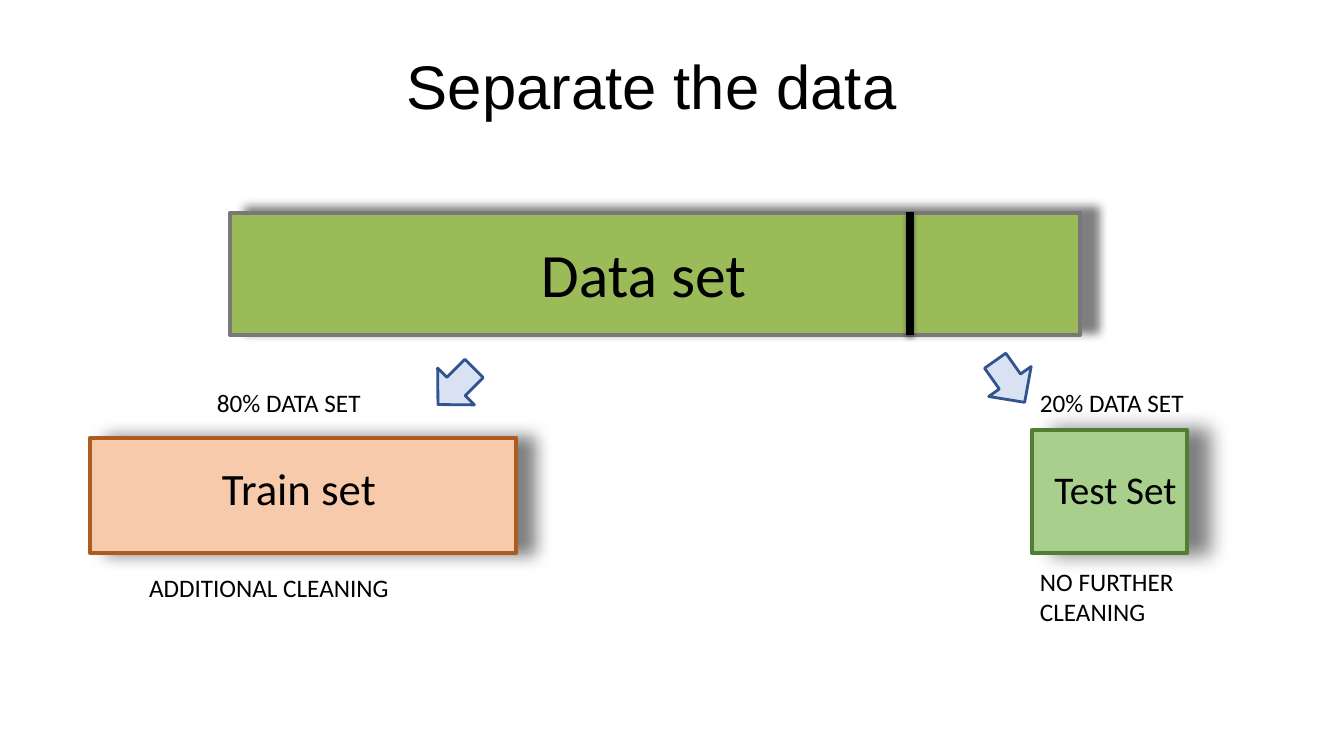
import pptx
import pptx.dml.color
import pptx.enum.shapes
import pptx.enum.text
import pptx.oxml
import pptx.oxml.ns
import pptx.util

EMU_PER_PX = 914400 / 100.8
SLIDE_SIZE = (1344, 756)
BLACK = "000000"
RECTANGLE = pptx.enum.shapes.MSO_SHAPE.RECTANGLE
DOWN_ARROW = pptx.enum.shapes.MSO_SHAPE.DOWN_ARROW
MIDDLE = pptx.enum.text.MSO_ANCHOR.MIDDLE
CENTER = pptx.enum.text.PP_ALIGN.CENTER

# Content: boxes are (left, top, width, height) in px
# Shadows are (opacity %, blur pt, distance pt, direction in degrees)
data_bar = ((230, 213, 850, 122), "9BBB59", "787878", (50, 6.8, 12, 342))
train_bar = ((90, 438, 426, 115), "F7CAAC", "AC5B23", (50, 12.4, 12, 359))
test_bar = ((1032, 430, 155, 123), "A8D08C", "517E33", (50, 14.6, 15, 359))
split_line = ((910, 212), (910, 335), (35, 3.1, 1.8, 90))
arrows = [((430, 361), 45), ((984, 356), 324.7)]
ARROW_SIZE = (52, 51)

labels = [
    ("Separate the data", (397, 34, 514, 112),
     dict(size=44, font="Arial", anchor=MIDDLE, spacing=0.9)),
    ("Data set", (531, 231, 379, 84), dict(size=44, inset_y=5)),
    ("Train set", (212, 451, 253, 69), dict(size=32)),
    ("Test Set", (996, 455, 239, 84), dict(size=28, align=CENTER)),
    ("80% DATA SET", (207, 377, 172, 54), {}),
    ("20% DATA SET", (1030, 377, 172, 60), {}),
    ("NO FURTHER CLEANING", (1030, 556, 258, 49), {}),
    ("ADDITIONAL CLEANING", (139, 562, 355, 54), {}),
]


def px(*lengths):
    return [pptx.util.Emu(round(length * EMU_PER_PX)) for length in lengths]


def color(hex_string):
    return pptx.dml.color.RGBColor.from_string(hex_string)


def add_shadow(part, opacity, blur, distance, direction):
    effects = pptx.oxml.parse_xml(
        f'<a:effectLst {pptx.oxml.ns.nsdecls("a")}>'
        f'<a:outerShdw blurRad="{pptx.util.Pt(blur)}" dist="{pptx.util.Pt(distance)}" '
        f'dir="{direction * 60000}" algn="ctr" rotWithShape="0">'
        f'<a:srgbClr val="{BLACK}"><a:alpha val="{opacity * 1000}"/></a:srgbClr>'
        '</a:outerShdw></a:effectLst>')
    part._element.spPr.append(effects)


def add_figure(preset, box, fill, outline, weight):
    figure = slide.shapes.add_shape(preset, *px(*box))
    figure.fill.solid()
    figure.fill.fore_color.rgb = color(fill)
    figure.line.color.rgb = color(outline)
    figure.line.width = pptx.util.Pt(weight)
    return figure


def add_text(text, box, size=18, font="Calibri", align=None, anchor=None,
             spacing=None, inset_y=10):
    frame = slide.shapes.add_textbox(*px(*box)).text_frame
    frame.word_wrap = True
    frame.margin_left, frame.margin_right = px(10, 10)
    frame.margin_top, frame.margin_bottom = px(inset_y, inset_y)
    frame.vertical_anchor = anchor or pptx.enum.text.MSO_ANCHOR.TOP
    paragraph = frame.paragraphs[0]
    paragraph.alignment = align
    paragraph.line_spacing = spacing
    run = paragraph.add_run()
    run.text = text
    run.font.size = pptx.util.Pt(size)
    run.font.name = font
    run.font.color.rgb = color(BLACK)


deck = pptx.Presentation()
deck.slide_width, deck.slide_height = px(*SLIDE_SIZE)
slide = deck.slides.add_slide(deck.slide_layouts[6])

# Data set bar and its two parts
for box, fill, outline, shadow in (data_bar, train_bar, test_bar):
    add_shadow(add_figure(RECTANGLE, box, fill, outline, 3), *shadow)

# Line where the data set is split
start, end, split_shadow = split_line
split = slide.shapes.add_connector(
    pptx.enum.shapes.MSO_CONNECTOR.STRAIGHT, *px(*start, *end))
split.line.color.rgb = color(BLACK)
split.line.width = pptx.util.Pt(6)
add_shadow(split, *split_shadow)

# Arrows down to the parts
for corner, angle in arrows:
    arrow = add_figure(DOWN_ARROW, corner + ARROW_SIZE, "D8E2F3", "31538F", 2)
    arrow.shadow.inherit = False
    arrow.rotation = angle

# Title and labels
for text, box, text_format in labels:
    add_text(text, box, **text_format)

deck.save("out.pptx")
